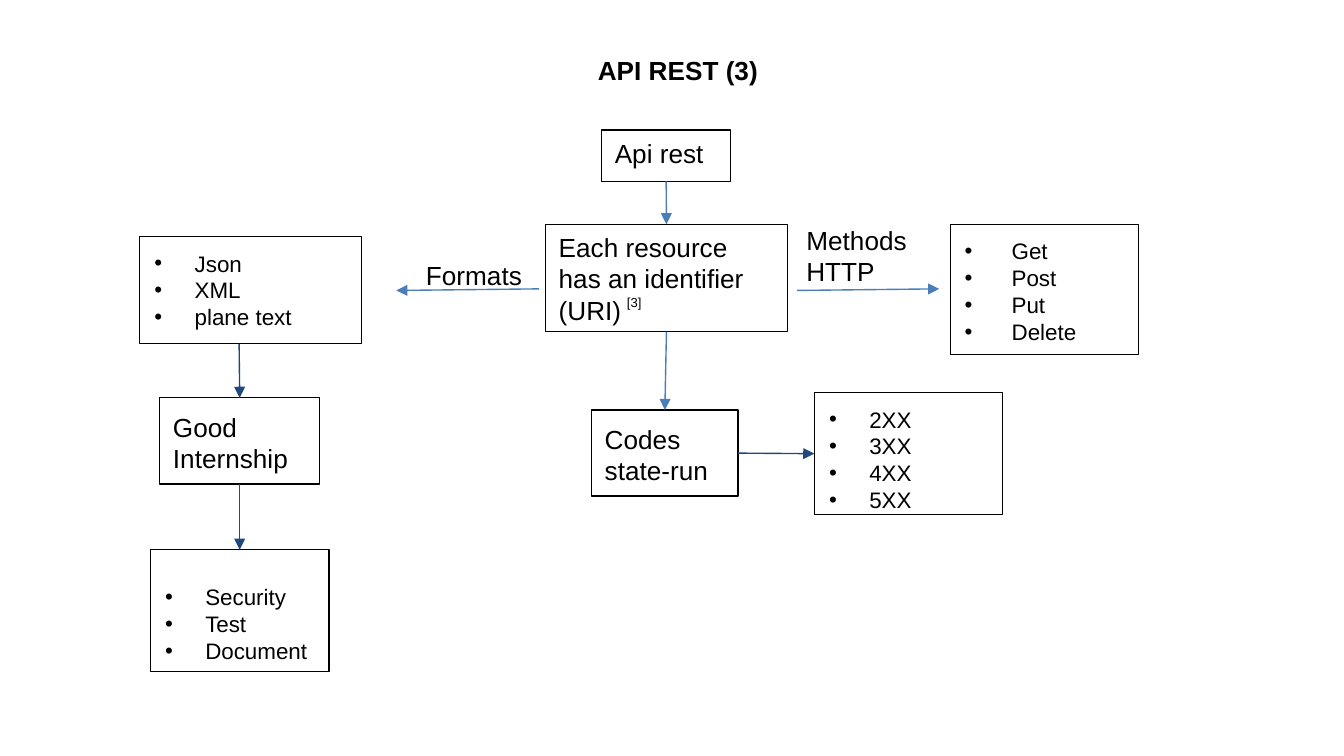
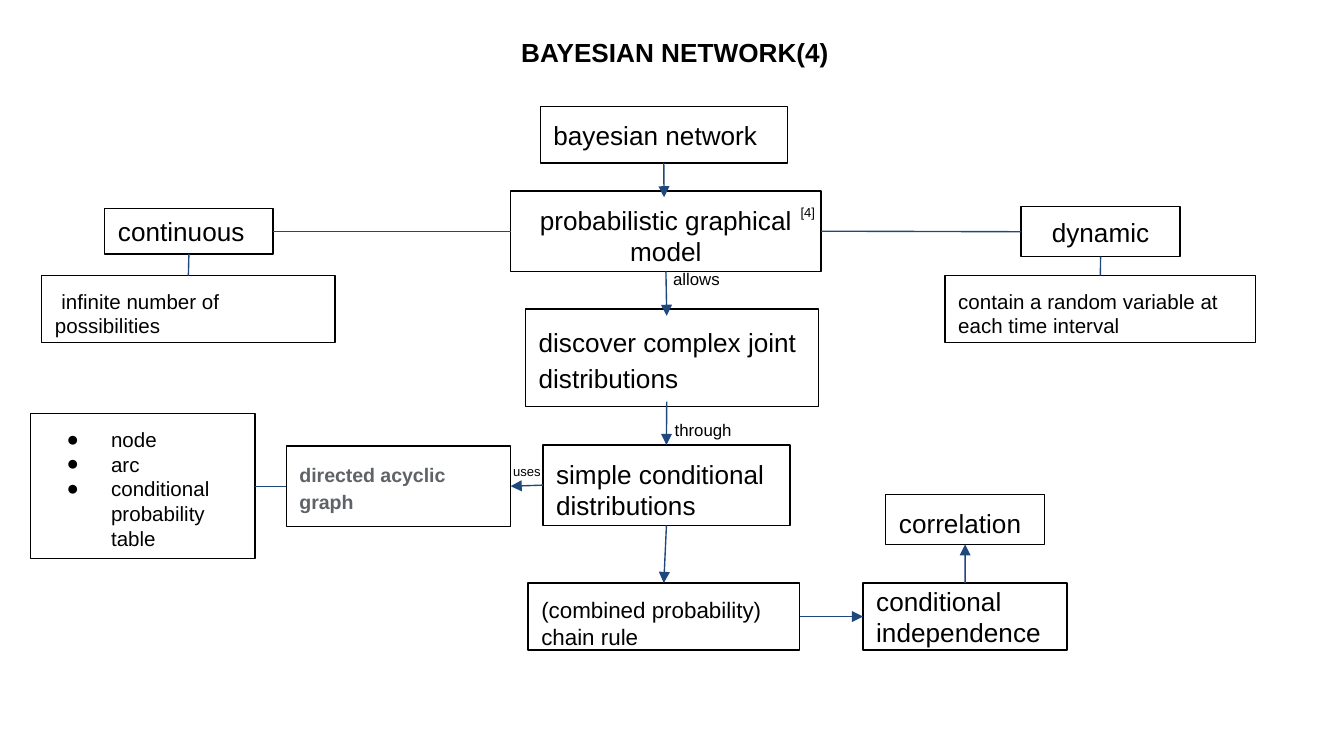
from lxml import etree
from pptx import Presentation
from pptx.dml.color import RGBColor
from pptx.enum.shapes import MSO_CONNECTOR, MSO_SHAPE
from pptx.enum.text import MSO_ANCHOR, PP_ALIGN
from pptx.oxml.ns import qn
from pptx.util import Cm, Pt

RECT = MSO_SHAPE.RECTANGLE
STRAIGHT = MSO_CONNECTOR.STRAIGHT
TOP, MIDDLE = MSO_ANCHOR.TOP, MSO_ANCHOR.MIDDLE
LEFT, CENTER = PP_ALIGN.LEFT, PP_ALIGN.CENTER
N, W, S, E = range(4)  # connection sites of a rectangle

FONT = "Arial"
COLORS = {"ink": "000000", "grey": "5F6368", "blue": "4A7DBA", "navy": "1F497D"}
INSET = 0.25
LINE_WIDTH = Pt(0.75)

# Bullets: character, text indent, hanging indent (cm)
DOT = ("•", 0.79, 0.76)
WIDE_DOT = ("•", 0.91, 0.89)
DISC = ("●", 1.27, 0.84)

# Boxes: name -> (left, top, width, height in cm), paragraphs, style
# Labels: (left, top, width, height in cm), paragraphs, style
# Links: start, end, colour, arrowhead; an end is (box, site) or (x, y) in cm
SLIDES = [
    {
        "title": ((11.05, 0.78, 3.56, 0.86), ["API REST (3)"]),
        "boxes": {
            "api": ((11.37, 2.46, 2.44, 0.97), ["Api rest"], {"inset_top": 0.13}),
            "resource": ((10.31, 4.24, 4.57, 2.03),
                         ["Each resource has an identifier (URI)"], {"inset_top": 0.13}),
            "methods": ((17.96, 4.24, 3.56, 2.46), ["Get", "Post", "Put", "Delete"],
                        {"size": 12, "bullet": WIDE_DOT}),
            "codes": ((11.18, 7.75, 2.77, 1.63), ["Codes", "state-run"], {}),
            "statuses": ((15.39, 7.42, 3.56, 2.31), ["2XX", "3XX", "4XX", "5XX"],
                         {"size": 12, "bullet": DOT}),
            "formats": ((2.64, 4.47, 4.19, 2.03), ["Json", "XML", "plane text"],
                        {"size": 12, "bullet": DOT}),
            "internship": ((3.02, 7.52, 3.02, 1.63), ["Good", "Internship"], {}),
            "practices": ((2.84, 10.39, 3.38, 2.31), ["Security", "Test", "Document"],
                          {"size": 12, "bullet": DOT, "anchor": MIDDLE, "inset_top": 0.73}),
        },
        "labels": [
            ((14.99, 3.99, 2.84, 1.19), ["Methods", "HTTP"], {}),
            ((7.8, 4.65, 3.56, 1.19), ["Formats"], {}),
            ((11.6, 5.42, 1.91, 0.86), ["[3]"], {"size": 7}),
        ],
        "links": [
            (("api", S), ("resource", N), "blue", True),
            (("resource", S), ("codes", N), "blue", True),
            ((15.06, 5.49), (17.75, 5.46), "blue", True),
            ((10.19, 5.46), (7.49, 5.49), "blue", True),
            (("codes", E), ("statuses", W), "navy", True),
            ((4.52, 6.5), ("internship", N), "navy", True),
            (("internship", S), ("practices", N), "navy", True),
        ],
    },
    {
        "title": ((9.6, 0.43, 6.78, 1.27), ["BAYESIAN NETWORK(4)"]),
        "boxes": {
            "network": ((10.21, 2.01, 4.67, 1.07), ["bayesian network"], {}),
            "model": ((9.65, 3.61, 5.87, 1.52), ["probabilistic graphical model"],
                      {"align": CENTER}),
            "dynamic": ((19.3, 3.91, 3, 0.94), ["dynamic"],
                        {"align": CENTER, "anchor": MIDDLE}),
            "interval": ((17.86, 5.21, 5.87, 1.27),
                         ["contain a random variable at each time interval"], {"size": 11}),
            "continuous": ((1.98, 3.94, 3.18, 0.86), ["continuous"], {"anchor": MIDDLE}),
            "infinite": ((0.79, 5.21, 5.54, 1.27), ["infinite number of possibilities"],
                         {"size": 11, "first_indent": 0.12}),
            "joint": ((9.93, 5.84, 5.54, 1.85), ["discover complex joint distributions"],
                      {"spacing": 1.15}),
            "simple": ((10.26, 8.41, 4.67, 1.52), ["simple conditional distributions"], {}),
            "graph": ((5.41, 8.43, 4.24, 1.52), ["directed acyclic graph"],
                      {"size": 10.5, "color": "grey", "bold": True, "spacing": 1.15}),
            "parts": ((0.58, 7.82, 4.24, 2.74),
                      ["node", "arc", "conditional probability table"],
                      {"size": 11, "bullet": DISC}),
            "chain": ((9.98, 11.02, 5.13, 1.27), ["(combined probability)", "chain rule"],
                      {"size": 12}),
            "independence": ((16.31, 11.02, 3.86, 1.27), ["conditional independence"],
                             {"anchor": MIDDLE}),
            "correlation": ((16.74, 9.35, 3, 0.94), ["correlation"], {}),
        },
        "labels": [
            ((12.47, 4.89, 4.24, 1.09), ["allows"], {"size": 9}),
            ((12.5, 7.75, 6.45, 1.09), ["through"], {"size": 9}),
            ((9.45, 8.61, 3.53, 1.27), ["uses"], {"size": 7}),
            ((14.88, 3.72, 1.91, 0.86), ["[4]"], {"size": 7}),
        ],
        "links": [
            (("network", S), (12.55, 3.73), "navy", True),
            (("model", S), (12.6, 5.97), "navy", True),
            ((12.6, 7.59), ("simple", N), "navy", True),
            (("simple", S), ("chain", N), "navy", True),
            (("simple", W), ("graph", E), "navy", True),
            (("chain", E), ("independence", W), "navy", True),
            (("independence", N), ("correlation", S), "navy", True),
            (("continuous", E), ("model", W), "navy", False),
            (("dynamic", W), ("model", E), "navy", False),
            (("continuous", S), ("infinite", N), "navy", False),
            (("interval", N), ("dynamic", S), "navy", False),
            (("graph", W), ("parts", E), "navy", False),
        ],
    },
]


def rgb(color):
    return RGBColor.from_string(COLORS[color])


def set_bullet(paragraph, char, indent, hanging):
    props = paragraph._p.get_or_add_pPr()
    props.set("marL", str(Cm(indent)))
    props.set("indent", str(-Cm(hanging)))
    etree.SubElement(props, qn("a:buFont"), typeface=FONT)
    etree.SubElement(props, qn("a:buChar"), char=char)


def write(shape, paragraphs, size=14, color="ink", bold=False, align=LEFT, anchor=TOP,
          spacing=None, bullet=None, first_indent=0, inset_top=INSET):
    frame = shape.text_frame
    frame.word_wrap = True
    frame.vertical_anchor = anchor
    frame.margin_left = frame.margin_right = frame.margin_bottom = Cm(INSET)
    frame.margin_top = Cm(inset_top)
    frame.text = "\n".join(paragraphs)
    for paragraph in frame.paragraphs:
        paragraph.alignment = align
        if spacing:
            paragraph.line_spacing = spacing
        if bullet:
            set_bullet(paragraph, *bullet)
        if first_indent:
            paragraph._p.get_or_add_pPr().set("indent", str(Cm(first_indent)))
        font = paragraph.font
        font.name, font.size, font.bold = FONT, Pt(size), bold
        font.color.rgb = rgb(color)


def add_box(slide, place, paragraphs, style):
    box = slide.shapes.add_shape(RECT, *map(Cm, place))
    box.shadow.inherit = False
    box.fill.background()
    box.line.color.rgb = rgb("ink")
    box.line.width = LINE_WIDTH
    write(box, paragraphs, **style)
    return box


def add_label(slide, place, paragraphs, style):
    write(slide.shapes.add_textbox(*map(Cm, place)), paragraphs, **style)


def add_link(slide, boxes, start, end, color, arrow):
    """Draw a line whose ends are joined to boxes or lie at free points."""
    free = [(0, 0) if point[0] in boxes else point for point in (start, end)]
    link = slide.shapes.add_connector(STRAIGHT, *(Cm(v) for point in free for v in point))
    for point, join in ((start, link.begin_connect), (end, link.end_connect)):
        if point[0] in boxes:
            join(boxes[point[0]], point[1])
    link.line.color.rgb = rgb(color)
    link.line.width = LINE_WIDTH
    if arrow:
        etree.SubElement(link.line._get_or_add_ln(), qn("a:tailEnd"), type="triangle")
    etree.SubElement(link._element.spPr, qn("a:effectLst"))


def main():
    deck = Presentation()
    deck.slide_width, deck.slide_height = Cm(25.4), Cm(14.29)
    for content in SLIDES:
        slide = deck.slides.add_slide(deck.slide_layouts[6])
        add_label(slide, *content["title"], {"bold": True})
        boxes = {name: add_box(slide, *box) for name, box in content["boxes"].items()}
        for label in content["labels"]:
            add_label(slide, *label)
        for link in content["links"]:
            add_link(slide, boxes, *link)
    deck.save("out.pptx")


if __name__ == "__main__":
    main()
